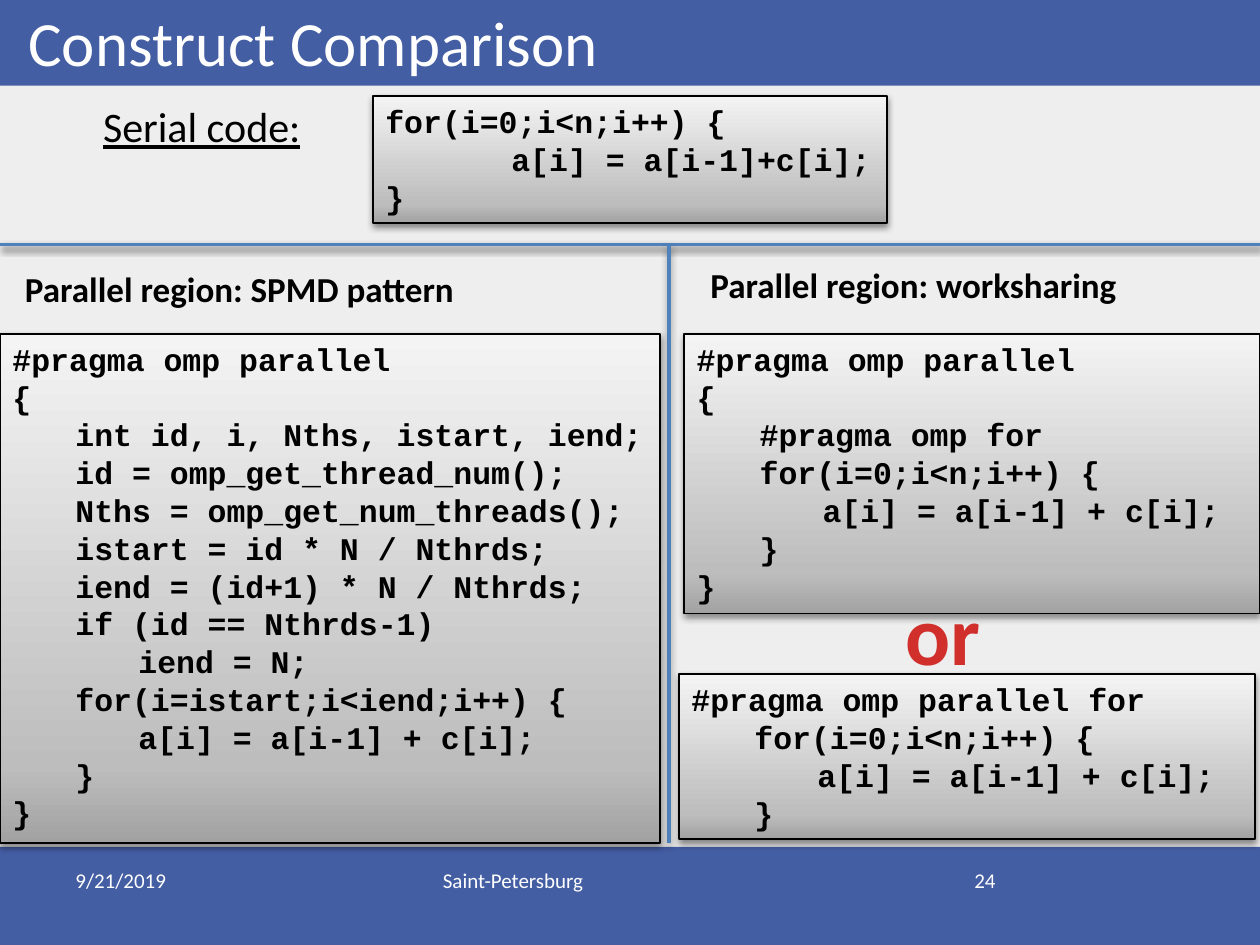
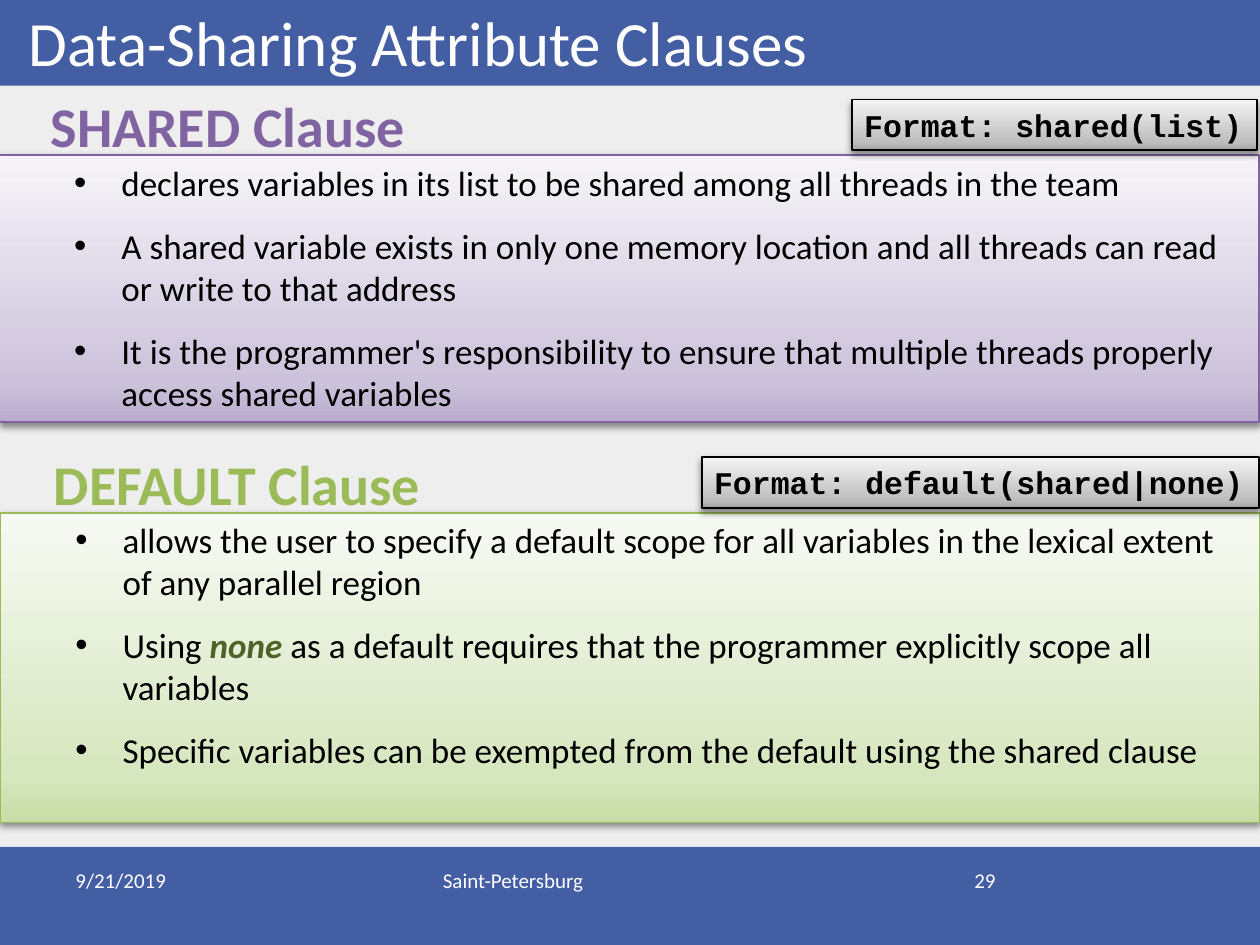
from lxml import etree
from pptx import Presentation
from pptx.dml.color import RGBColor
from pptx.enum import shapes, text
from pptx.oxml import ns
from pptx.util import Pt

# Shared look
WIDTH, HEIGHT = 720, 540
BAND, PAGE, WHITE, BLACK = "445EA4", "EEEEEE", "FFFFFF", "000000"
RULE, PURPLE, GREEN, OLIVE = "4F81BD", "8064A2", "9BBB59", "4F6228"
BODY, CODE = "Calibri", "Courier New"
GREY_FADE = [(0, "A2A2A2"), (15, "BDBDBD"), (100, "F4F4F4")]
PURPLE_FADE = [(0, "B9ACCD"), (15, "CCC2DB"), (100, "F6F4F8")]
GREEN_FADE = [(0, "C7DDA6"), (15, "D6E6BE"), (100, "F7FAF4")]
RED_FADE = [(0, "FC7C7A"), (75, "D02F2C"), (100, "C70500")]
TAB = 36


def color(value):
    return RGBColor.from_string(value)


def points(box):
    return [Pt(length) for length in box]


def child(parent, tag, **attributes):
    element = etree.SubElement(parent, ns.qn(tag))
    for name, value in attributes.items():
        element.set(name, str(value))
    return element


def fade(fill, element, stops, angle):
    """Fill with a linear gradient of (percent, colour) stops."""
    fill.gradient()
    fill.gradient_angle = angle
    stop_list = element.find(".//" + ns.qn("a:gsLst"))
    for old_stop in list(stop_list):
        stop_list.remove(old_stop)
    for percent, value in stops:
        stop = child(stop_list, "a:gs", pos=percent * 1000)
        child(stop, "a:srgbClr", val=value)


def drop_shadow(shape):
    effects = child(shape._element.spPr, "a:effectLst")
    shadow = child(effects, "a:outerShdw", blurRad=Pt(4), dist=Pt(2),
                   dir=5400000, rotWithShape=0)
    child(child(shadow, "a:srgbClr", val=BLACK), "a:alpha", val=43000)


# Text
def add_run(paragraph, words, size, value=BLACK, name=BODY, bold=False,
            italic=False, underline=False):
    run = paragraph.add_run()
    run.text = words
    font = run.font
    font.size, font.name, font.bold = Pt(size), name, bold
    font.italic, font.underline = italic, underline
    font.color.rgb = color(value)
    return run


def add_label(slide, box, words, size, align=text.PP_ALIGN.LEFT, **style):
    frame = slide.shapes.add_textbox(*points(box)).text_frame
    frame.word_wrap = False
    paragraph = frame.paragraphs[0]
    paragraph.alignment = align
    return add_run(paragraph, words, size, **style)


# Boxes and lines
def add_panel(slide, box, stops, line):
    shape = slide.shapes.add_shape(shapes.MSO_SHAPE.RECTANGLE, *points(box))
    fade(shape.fill, shape._element.spPr, stops, 90)
    shape.line.color.rgb = color(line)
    shape.line.width = Pt(1)
    drop_shadow(shape)
    frame = shape.text_frame
    frame.word_wrap = True
    frame.vertical_anchor = text.MSO_ANCHOR.TOP
    return frame


def add_paragraphs(frame, items):
    """Yield a left-aligned paragraph with each item."""
    for index, item in enumerate(items):
        paragraph = frame.add_paragraph() if index else frame.paragraphs[0]
        paragraph.alignment = text.PP_ALIGN.LEFT
        yield index, paragraph, item


def add_code(slide, box, lines):
    """Code box; each leading tab of a line is one indent step."""
    frame = add_panel(slide, box, GREY_FADE, BLACK)
    for _, paragraph, line in add_paragraphs(frame, lines):
        words = line.lstrip("\t")
        depth = len(line) - len(words)
        if depth:
            paragraph._p.get_or_add_pPr().set("marL", str(Pt(TAB * depth)))
        add_run(paragraph, words, 18, name=CODE, bold=True)


def add_rule(slide, *ends):
    line = slide.shapes.add_connector(shapes.MSO_CONNECTOR.STRAIGHT, *points(ends))
    line.line.color.rgb = color(RULE)
    line.line.width = Pt(2)
    drop_shadow(line)


# Frame of every slide
def add_band(slide, top, height):
    band = slide.shapes.add_shape(shapes.MSO_SHAPE.RECTANGLE,
                                  *points((0, top, WIDTH, height)))
    band.shadow.inherit = False
    band.fill.solid()
    band.fill.fore_color.rgb = color(BAND)
    band.line.fill.background()
    slide.shapes._spTree.insert(2, band._element)


def add_slide(presentation, title, number):
    slide = presentation.slides.add_slide(presentation.slide_layouts[5])
    slide.background.fill.solid()
    slide.background.fill.fore_color.rgb = color(PAGE)
    add_band(slide, 0, 49)
    add_band(slide, 484, HEIGHT - 484)

    heading = slide.shapes.title
    heading.left, heading.top, heading.width, heading.height = points((9, -15, 648, 64))
    frame = heading.text_frame
    frame.vertical_anchor = text.MSO_ANCHOR.BOTTOM
    frame.auto_size = text.MSO_AUTO_SIZE.NONE
    frame.paragraphs[0].alignment = text.PP_ALIGN.LEFT
    add_run(frame.paragraphs[0], title, 36, WHITE)

    footers = [(36, 168, "9/21/2019", text.PP_ALIGN.LEFT),
               (516, 60, number, text.PP_ALIGN.RIGHT),
               (246, 228, "Saint-Petersburg", text.PP_ALIGN.LEFT)]
    for left, width, words, align in footers:
        add_label(slide, (left, 492, width, 37), words, 12, align, value=WHITE)
        slide.shapes[-1].text_frame.word_wrap = True
    return slide


# Construct comparison
def add_serial(slide, box, lines):
    left, top, width, height = box
    add_label(slide, (left, top, 143, 36), "Serial code:", 24, underline=True)
    add_code(slide, (left + 161.3, top + 0.7, width - 161.3, height), lines)


def add_column(slide, box, heading, heading_box, lines):
    left, top, width, height = box
    shift_x, shift_y, heading_width = heading_box
    add_code(slide, (left, top + 51, width, height - 51), lines)
    add_label(slide, (left + shift_x, top + shift_y, heading_width, 32),
              heading, 20, bold=True)


def comparison_slide(presentation):
    slide = add_slide(presentation, "Construct Comparison", "24")
    add_serial(slide, (51.8, 54, 455, 72.7), [
        "for(i=0;i<n;i++) {", "\t\ta[i] = a[i-1]+c[i];", "}"])
    divider, middle = 139.7, 382.3
    add_rule(slide, 0, divider, WIDTH, divider)
    add_rule(slide, middle, divider, middle, 481.7)

    loop = ["\tfor(i=0;i<n;i++) {", "\t\ta[i] = a[i-1] + c[i];", "\t}"]
    add_column(slide, (0, divider, 377.3, 342),
               "Parallel region: SPMD pattern", (7.2, 9.4, 304.6), [
                   "#pragma omp parallel", "{",
                   "\tint id, i, Nths, istart, iend;",
                   "\tid = omp_get_thread_num();",
                   "\tNths = omp_get_num_threads();",
                   "\tistart = id * N / Nthrds;",
                   "\tiend = (id+1) * N / Nthrds;",
                   "\tif (id == Nthrds-1)",
                   "\t\tiend = N;",
                   "\tfor(i=istart;i<iend;i++) {", *loop[1:], "}"])
    add_column(slide, (391, divider, 329, 211),
               "Parallel region: worksharing", (7.9, 7.2, 285.8),
               ["#pragma omp parallel", "{", "\t#pragma omp for", *loop, "}"])
    add_code(slide, (388, 385.2, 329, 94.3), ["#pragma omp parallel for", *loop])
    either = add_label(slide, (507, 329, 63.4, 65.5), "or", 48,
                       text.PP_ALIGN.CENTER, bold=True)
    fade(either.font.fill, either._r, RED_FADE, 270)


# Data-sharing clauses
def add_bullets(frame, items):
    for index, paragraph, runs in add_paragraphs(frame, items):
        paragraph.level = 1
        properties = paragraph._p.get_or_add_pPr()
        properties.set("marL", str(Pt(63)))
        properties.set("indent", str(Pt(-27)))
        if index:
            paragraph.space_before = Pt(12)
        child(properties, "a:buFont", typeface="Arial")
        child(properties, "a:buChar", char="•")
        for words, style in runs:
            add_run(paragraph, words, 20, **style)


def add_clause(slide, box, name, name_width, accent, stops, syntax, syntax_box, items):
    left, top, width, height = box
    syntax_left, syntax_width = syntax_box
    add_bullets(add_panel(slide, box, stops, accent), items)
    add_label(slide, (left - 2, top - 39.6, name_width, 46), name, 32,
              text.PP_ALIGN.CENTER, value=accent, bold=True)
    add_code(slide, (left + syntax_left, top - 31.7, syntax_width, 29), [syntax])


def clauses_slide(presentation):
    slide = add_slide(presentation, "Data-Sharing Attribute Clauses", "29")
    add_clause(slide, (-0.7, 88.6, WIDTH, 152.6), "SHARED Clause", 266, PURPLE,
               PURPLE_FADE, "Format: shared(list)", (487.4, 231.8), [
                   [("declares variables in its list to be shared among all "
                     "threads in the team", {})],
                   [("A shared variable exists in only one memory location and "
                     "all threads can read or write to that address", {})],
                   [("It is the programmer's responsibility to ensure that "
                     "multiple threads properly access shared variables", {})]])
    add_clause(slide, (0, 293, WIDTH, 177), "DEFAULT Clause", 275, GREEN,
               GREEN_FADE, "Format: default(shared|none)", (401, 318.5), [
                   [("allows the user to specify a default scope for all "
                     "variables in the lexical extent of any parallel region", {})],
                   [("Using ", {}),
                    ("none ", {"value": OLIVE, "bold": True, "italic": True}),
                    ("as a default requires that the programmer explicitly "
                     "scope all variables", {})],
                   [("Specific variables can be exempted from the default "
                     "using the shared clause", {})]])


def main():
    presentation = Presentation()
    presentation.slide_width, presentation.slide_height = points((WIDTH, HEIGHT))
    comparison_slide(presentation)
    clauses_slide(presentation)
    presentation.save("out.pptx")


if __name__ == "__main__":
    main()
